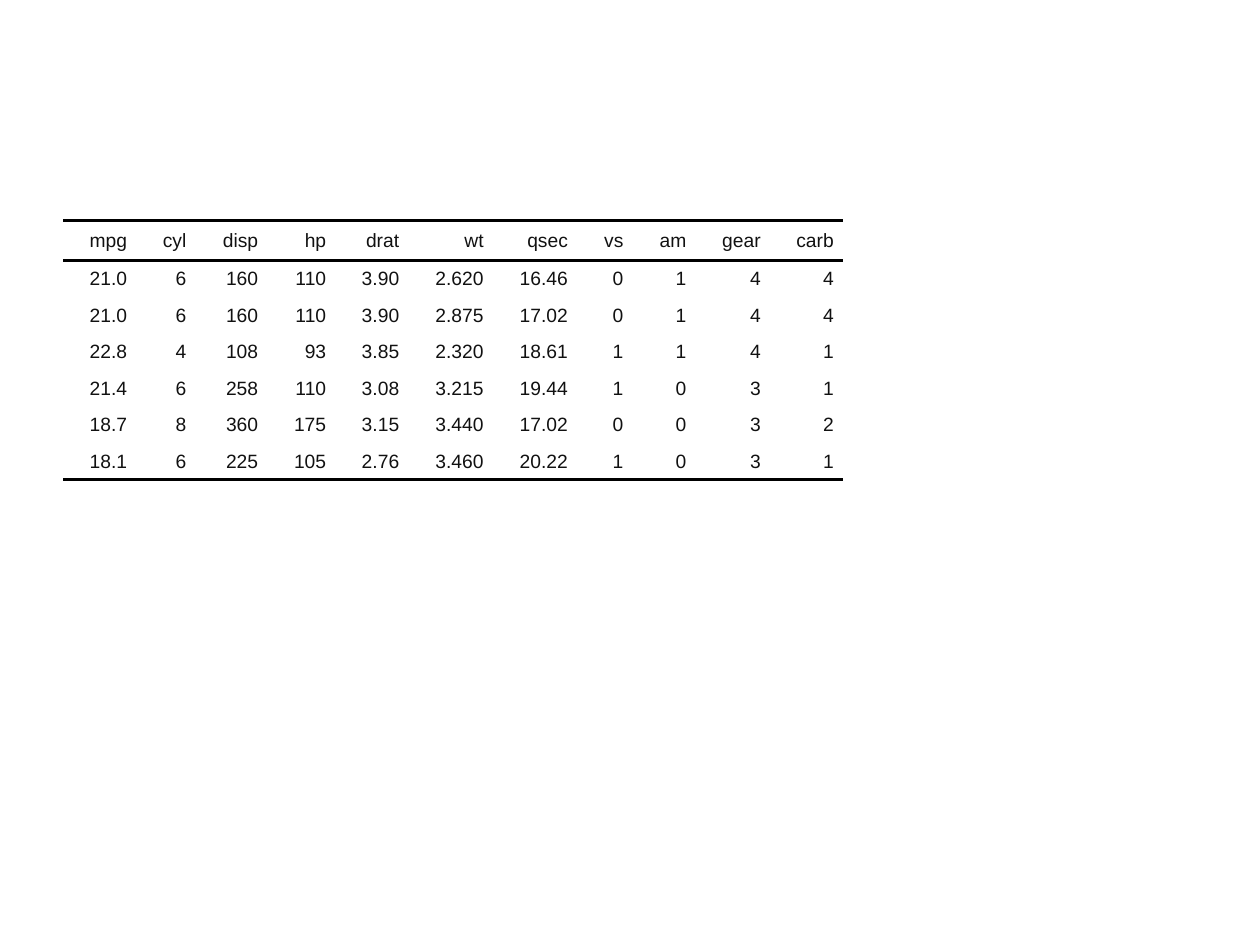
from lxml import etree
from pptx import Presentation
from pptx import util as u
from pptx.dml.color import RGBColor
from pptx.enum import text
from pptx.oxml import ns

COLORS = {"ink": "111111", "rule": "000000"}
FONT = "Arial"
NO_GRID_STYLE = "{2D5ABB26-0587-4C30-8999-92F81FD0307C}"

COLUMN_WIDTHS = [0.58, 0.47, 0.57, 0.54, 0.58, 0.67, 0.67, 0.44, 0.5, 0.59, 0.58]
HEADER_HEIGHT, BODY_HEIGHT = 0.32, 0.29
CELL_PADDING = 0.07

CARS = [
    ["mpg", "cyl", "disp", "hp", "drat", "wt", "qsec", "vs", "am", "gear", "carb"],
    ["21.0", "6", "160", "110", "3.90", "2.620", "16.46", "0", "1", "4", "4"],
    ["21.0", "6", "160", "110", "3.90", "2.875", "17.02", "0", "1", "4", "4"],
    ["22.8", "4", "108", "93", "3.85", "2.320", "18.61", "1", "1", "4", "1"],
    ["21.4", "6", "258", "110", "3.08", "3.215", "19.44", "1", "0", "3", "1"],
    ["18.7", "8", "360", "175", "3.15", "3.440", "17.02", "0", "0", "3", "2"],
    ["18.1", "6", "225", "105", "2.76", "3.460", "20.22", "1", "0", "3", "1"],
]


def add_rule(cell, side):
    """Draw a 2 pt rule on one side of a cell: lnT or lnB."""
    rule = etree.SubElement(cell._tc.get_or_add_tcPr(), ns.qn(f"a:{side}"), w=str(u.Pt(2)))
    fill = etree.SubElement(rule, ns.qn("a:solidFill"))
    etree.SubElement(fill, ns.qn("a:srgbClr"), val=COLORS["rule"])


def fill_cell(cell, value):
    """Write one right-aligned value into an unfilled cell."""
    cell.fill.background()
    cell.vertical_anchor = text.MSO_ANCHOR.MIDDLE
    cell.margin_left = cell.margin_right = cell.margin_top = cell.margin_bottom = 0
    entry = cell.text_frame.paragraphs[0]
    entry.text = value
    entry.alignment = text.PP_ALIGN.RIGHT
    entry.space_before = entry.space_after = u.Pt(2)
    margins = entry._p.get_or_add_pPr()
    for side in ("marL", "marR"):
        margins.set(side, str(u.Inches(CELL_PADDING)))
    margins.set("indent", "0")
    font = entry.runs[0].font
    font.name, font.size = FONT, u.Pt(11)
    font.color.rgb = RGBColor.from_string(COLORS["ink"])


def add_ruled_table(slide, left, top, rows):
    """Add a table ruled above and below its header and at its foot."""
    heights = [HEADER_HEIGHT] + [BODY_HEIGHT] * (len(rows) - 1)
    table = slide.shapes.add_table(
        len(rows), len(COLUMN_WIDTHS), u.Inches(left), u.Inches(top),
        u.Inches(sum(COLUMN_WIDTHS)), u.Inches(sum(heights))).table
    table.first_row = table.horz_banding = False
    table._tbl.tblPr.find(ns.qn("a:tableStyleId")).text = NO_GRID_STYLE
    for column, width in zip(table.columns, COLUMN_WIDTHS):
        column.width = u.Inches(width)
    for index, (height, values) in enumerate(zip(heights, rows)):
        table.rows[index].height = u.Inches(height)
        for cell, value in zip(table.rows[index].cells, values):
            if index == 0:
                add_rule(cell, "lnT")
            if index in (0, len(rows) - 1):
                add_rule(cell, "lnB")
            fill_cell(cell, value)


def main():
    """Build the slide with the car data table."""
    deck = Presentation()
    deck.slide_width, deck.slide_height = u.Inches(10), u.Inches(7.5)
    slide = deck.slides.add_slide(deck.slide_layouts[6])
    add_ruled_table(slide, 0.5, 1.75, CARS)
    deck.save("out.pptx")


main()
